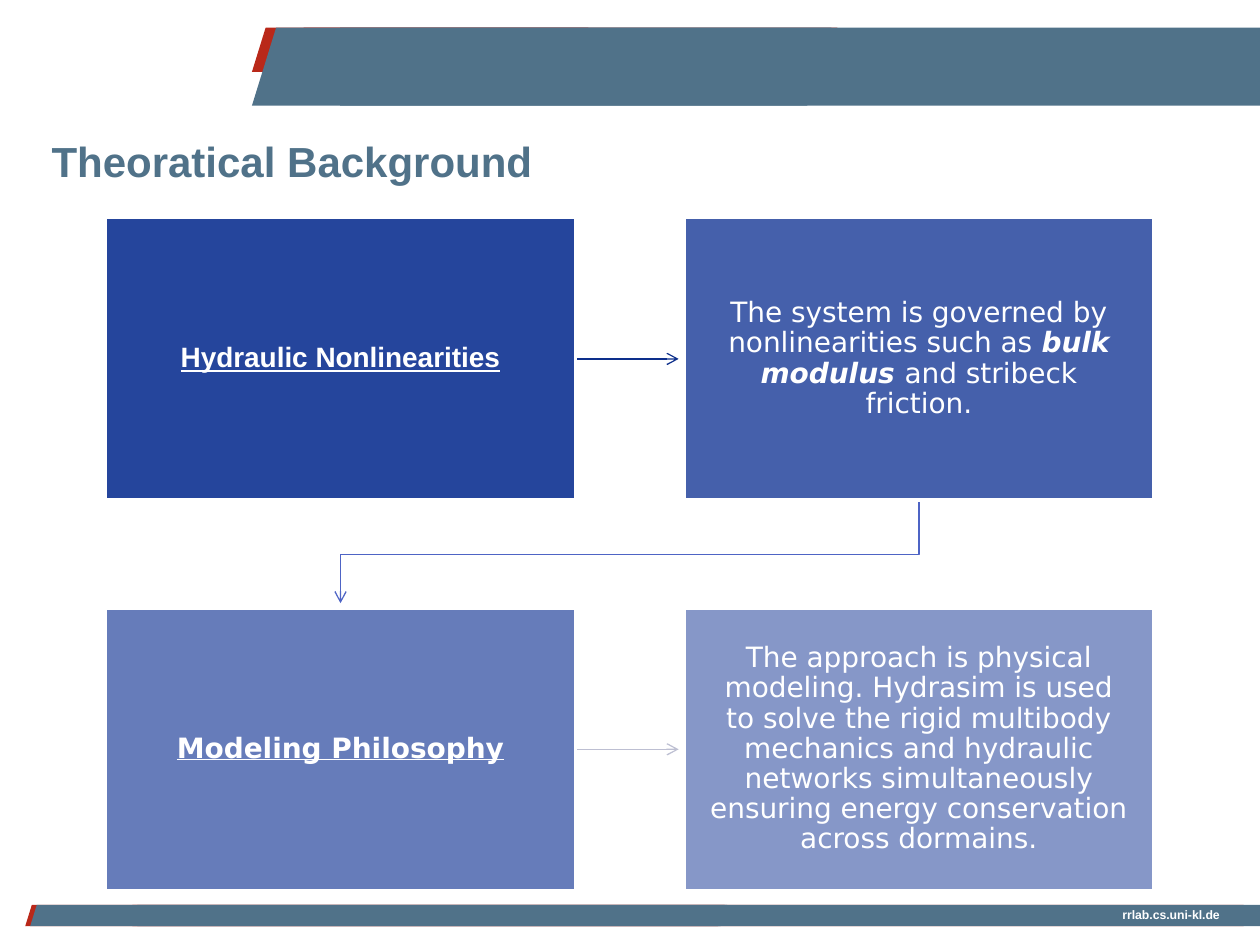
from lxml import etree
from pptx import Presentation
from pptx.dml.color import RGBColor
from pptx.enum.shapes import MSO_CONNECTOR, MSO_SHAPE
from pptx.enum.text import MSO_ANCHOR, PP_ALIGN
from pptx.oxml.ns import qn
from pptx.util import Cm, Pt

RECT, SLANT = MSO_SHAPE.RECTANGLE, MSO_SHAPE.PARALLELOGRAM
STRAIGHT = MSO_CONNECTOR.STRAIGHT
MIDDLE, TOP = MSO_ANCHOR.MIDDLE, MSO_ANCHOR.TOP
LEFT, CENTER, RIGHT = PP_ALIGN.LEFT, PP_ALIGN.CENTER, PP_ALIGN.RIGHT

WHITE = RGBColor(0xFF, 0xFF, 0xFF)
RED = RGBColor(0xB9, 0x28, 0x19)
TEAL = RGBColor(0x50, 0x72, 0x89)
NAVY = RGBColor(0x0E, 0x31, 0x92)
ARROW_NAVY = RGBColor(0x0D, 0x2F, 0x8B)
ARROW_BLUE = RGBColor(0x4E, 0x64, 0xC5)
ARROW_GREY = RGBColor(0xBD, 0xBF, 0xD2)

SANS = "DejaVu Sans"
HEADING = {"bold": True, "underline": True}
BOXES = [
    (90, "Arial", [("Hydraulic Nonlinearities", HEADING)]),
    (77, SANS, [("The system is governed by nonlinearities such as ", {}),
                ("bulk modulus ", {"bold": True, "italic": True}),
                ("and stribeck friction.", {})]),
    (63, SANS, [("Modeling Philosophy", HEADING)]),
    (50, SANS, [("The approach is physical modeling. Hydrasim is used to solve "
                 "the rigid multibody mechanics and hydraulic networks "
                 "simultaneously ensuring energy conservation across dormains.", {})]),
]


def write(sp, runs, font="Arial", size=16, color=WHITE, align=LEFT,
          anchor=TOP, spacing=1.0):
    """Fill a shape with one paragraph of (text, font attributes) runs."""
    tf = sp.text_frame
    tf.word_wrap = True
    tf.vertical_anchor = anchor
    p = tf.paragraphs[0]
    p.alignment = align
    p.line_spacing = spacing
    for text, style in runs:
        r = p.add_run()
        r.text = text
        r.font.name, r.font.size = font, Pt(size)
        r.font.color.rgb = color
        for name, value in style.items():
            setattr(r.font, name, value)
    return tf


def add_block(s, kind, x, y, w, h, color):
    """Add a plain filled shape without line or shadow."""
    sp = s.shapes.add_shape(kind, Cm(x), Cm(y), Cm(w), Cm(h))
    sp.shadow.inherit = False
    sp.fill.solid()
    sp.fill.fore_color.rgb = color
    sp.line.fill.background()
    return sp


def add_banner(s, x, y, w, h, color, slant_w, rect_dx):
    """Draw a bar whose left end is slanted."""
    add_block(s, RECT, x + rect_dx, y, w - rect_dx, h, color)
    sp = add_block(s, SLANT, x, y, slant_w, h, color)
    sp.adjustments[0] = 0.31


def add_label(s, x, y, w, h, text, **fmt):
    """Add a bold text box."""
    tb = s.shapes.add_textbox(Cm(x), Cm(y), Cm(w), Cm(h))
    write(tb, [(text, {"bold": True})], **fmt)


def style_arrow(sp, color):
    """Give an open line its colour, width and arrowhead."""
    sp.line.color.rgb = color
    sp.line.width = Pt(0.75)
    etree.SubElement(sp.line._get_or_add_ln(), qn("a:tailEnd"), type="arrow")


def add_arrow(s, x, y, length, color):
    """Draw a horizontal arrow."""
    c = s.shapes.add_connector(STRAIGHT, Cm(x), Cm(y), Cm(x + length), Cm(y))
    style_arrow(c, color)
    etree.SubElement(c._element.spPr, qn("a:effectLst"))


def add_bent_arrow(s, x, y, dx, dy, color):
    """Draw an arrow that goes down, across and down again."""
    mid = y + dy * 0.53
    builder = s.shapes.build_freeform(Cm(x), Cm(y))
    builder.add_line_segments(
        [(Cm(x), Cm(mid)), (Cm(x + dx), Cm(mid)), (Cm(x + dx), Cm(y + dy))],
        close=False)
    sp = builder.convert_to_shape()
    sp.shadow.inherit = False
    sp.fill.background()
    style_arrow(sp, color)


def add_box(s, x, y, w, h, alpha, font, runs):
    """Draw one translucent box with its text."""
    sp = add_block(s, RECT, x, y, w, h, NAVY)
    rgb = sp._element.spPr.find(qn("a:solidFill")).find(qn("a:srgbClr"))
    etree.SubElement(rgb, qn("a:alpha"), val=str(alpha * 1000))
    sp.line.color.rgb = WHITE
    sp.line.width = Pt(2)
    tf = write(sp, runs, font=font, align=CENTER, anchor=MIDDLE, spacing=0.9)
    tf.margin_left = tf.margin_right = Cm(0.46)
    tf.margin_top = tf.margin_bottom = Cm(0.48)


def add_flow(s, x, y, w, h):
    """Lay out the two-by-two grid of boxes and the arrows between them."""
    box_w, box_h = 9.47, 5.69
    step_x, step_y = w - box_w, h - box_h
    for row, color in enumerate((ARROW_NAVY, ARROW_GREY)):
        add_arrow(s, x + box_w, y + row * step_y + box_h / 2, 2.08, color)
    add_bent_arrow(s, x + step_x + box_w / 2, y + box_h,
                   -step_x, step_y - box_h - 0.1, ARROW_BLUE)
    for i, box in enumerate(BOXES):
        row, col = divmod(i, 2)
        add_box(s, x + col * step_x, y + row * step_y, box_w, box_h, *box)


def add_header(s, x, y, w, h):
    """Draw the top banner."""
    add_banner(s, x, y, 11.8, 0.89, RED, 6.78, 1.04)
    add_banner(s, x, y, w, h, TEAL, 11.68, 1.78)


def add_footer(s, x, y, w, h):
    """Draw the bottom banner with the web address."""
    add_banner(s, x, y, w - 0.33, h, RED, 14.1, 2.16)
    add_banner(s, x + 0.1, y, w - 0.1, h, TEAL, 14.05, 2.16)
    add_label(s, x + w - 3.63, y - 0.08, 3.07, 0.56, "rrlab.cs.uni-kl.de",
              size=7, align=RIGHT)


def main():
    """Build and save the slide."""
    prs = Presentation()
    prs.slide_width, prs.slide_height = Cm(25.4), Cm(19.05)
    s = prs.slides.add_slide(prs.slide_layouts[6])
    add_footer(s, 0.51, 18.24, 24.89, 0.43)
    add_header(s, 5.08, 0.56, 20.32, 1.57)
    add_label(s, 0.79, 2.59, 23.8, 1.3, "Theoratical Background",
              size=24, color=TEAL, anchor=MIDDLE)
    add_flow(s, 2.13, 4.39, 21.13, 13.56)
    prs.save("out.pptx")


if __name__ == "__main__":
    main()
